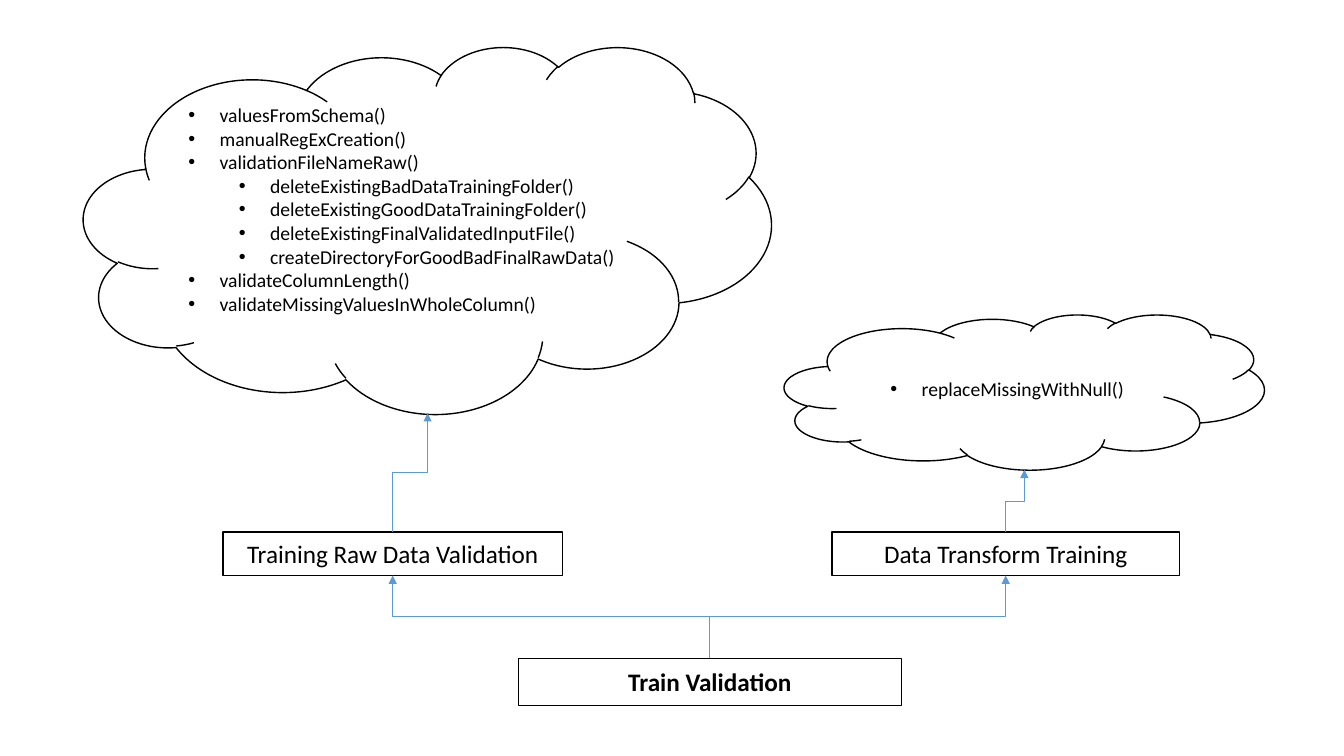
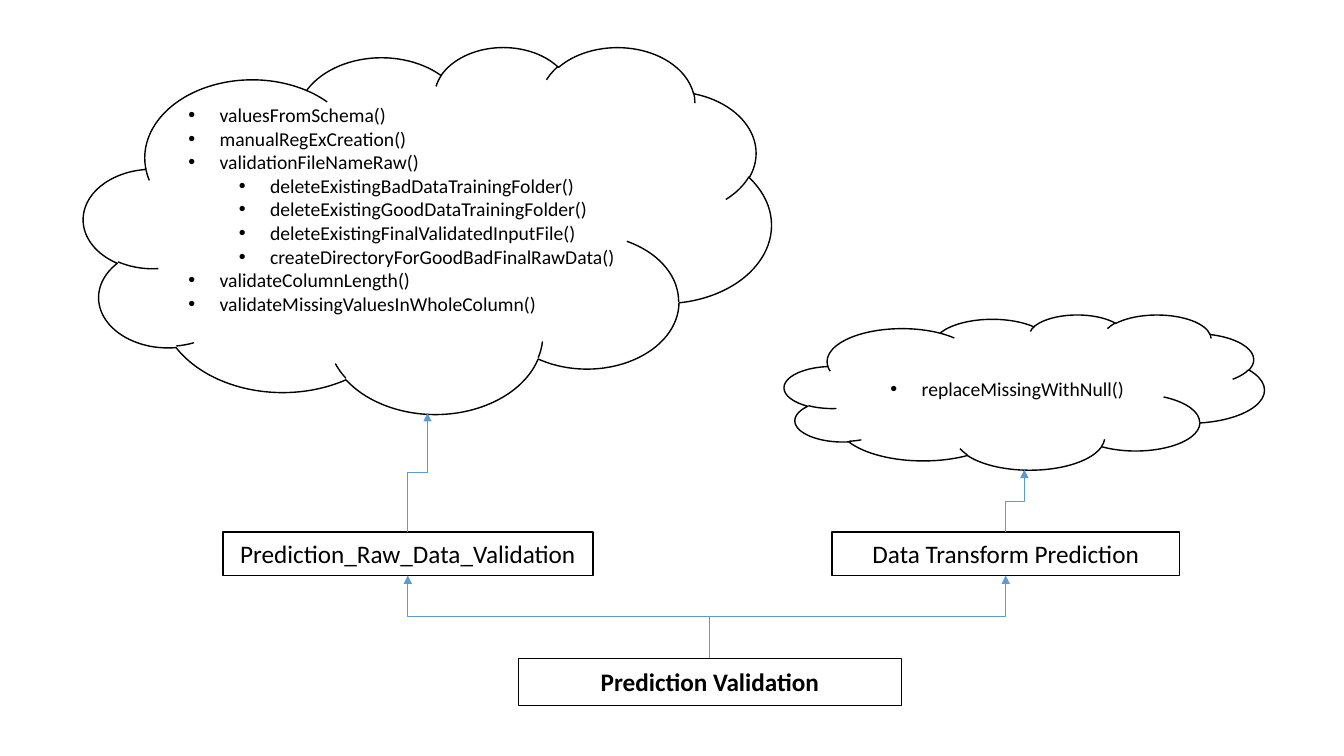
from lxml.etree import SubElement
from pptx import Presentation
from pptx.dml.color import RGBColor
from pptx.enum.shapes import MSO_CONNECTOR as Connector, MSO_SHAPE as Shape
from pptx.enum.text import MSO_ANCHOR as Anchor, PP_ALIGN as Align
from pptx.oxml.ns import qn
from pptx.util import Inches, Pt

FONT = "Calibri"
BLACK, WHITE, BLUE = "000000", "FFFFFF", "5B9BD5"
SLIDE_WIDTH, SLIDE_HEIGHT = Inches(13.33), Inches(7.5)
BULLET_INDENT = Inches(0.31)
LEVEL_STEP = Inches(0.5)

# Left, top, width and height as percentages of the slide's size
ROOT_AREA = (38.56, 87.07, 28.51, 6.27)
TRANSFORM_AREA = (61.89, 70.4, 25.88, 5.73)
VALIDATION_CLOUD_AREA = (6.23, 6.13, 51.16, 48.53)
TRANSFORM_CLOUD_AREA = (58.36, 41.6, 35.71, 20.53)

# Connection sites of the preset shapes
BOX_TOP, BOX_BOTTOM, CLOUD_BOTTOM = 0, 2, 1

# Function name and list level
VALIDATION_STEPS = [
    ("valuesFromSchema()", 0),
    ("manualRegExCreation()", 0),
    ("validationFileNameRaw()", 0),
    ("deleteExistingBadDataTrainingFolder()", 1),
    ("deleteExistingGoodDataTrainingFolder()", 1),
    ("deleteExistingFinalValidatedInputFile()", 1),
    ("createDirectoryForGoodBadFinalRawData()", 1),
    ("validateColumnLength()", 0),
    ("validateMissingValuesInWholeColumn()", 0),
]
TRANSFORM_STEPS = [("replaceMissingWithNull()", 0)]

# Root title, validation title, validation box width, transform title
FLOWS = [
    ("Train Validation", "Training Raw Data Validation", 25.28,
     "Data Transform Training"),
    ("Prediction Validation", "Prediction_Raw_Data_Validation", 27.53,
     "Data Transform Prediction"),
]


def color(hex_text):
    """Turn a hex string into a colour."""
    return RGBColor.from_string(hex_text)


def place(area):
    """Turn percentages of the slide into left, top, width and height."""
    sizes = (SLIDE_WIDTH, SLIDE_HEIGHT) * 2
    return [round(size * share / 100) for size, share in zip(sizes, area)]


def add_outline(slide, kind, area):
    """Add a white preset shape with a thin black outline."""
    shape = slide.shapes.add_shape(kind, *place(area))
    shape.shadow.inherit = False
    shape.fill.solid()
    shape.fill.fore_color.rgb = color(WHITE)
    shape.line.color.rgb = color(BLACK)
    shape.line.width = Pt(1)
    shape.text_frame.word_wrap = True
    shape.text_frame.vertical_anchor = Anchor.MIDDLE
    return shape


def write(paragraph, text, size=18, bold=False, align=Align.CENTER):
    """Write formatted text into a paragraph."""
    paragraph.alignment = align
    run = paragraph.add_run()
    run.text = text
    run.font.name = FONT
    run.font.size = Pt(size)
    run.font.bold = bold
    run.font.color.rgb = color(BLACK)


def add_bullet(paragraph, level):
    """Give a paragraph a round bullet and a hanging indent."""
    paragraph.level = level
    properties = paragraph._p.get_or_add_pPr()
    properties.set("marL", str(BULLET_INDENT + level * LEVEL_STEP))
    properties.set("indent", str(-BULLET_INDENT))
    SubElement(properties, qn("a:buFont")).set("typeface", "Arial")
    SubElement(properties, qn("a:buChar")).set("char", "•")


def add_box(slide, area, title, bold=False):
    """Add a box with a centred title."""
    box = add_outline(slide, Shape.RECTANGLE, area)
    write(box.text_frame.paragraphs[0], title, bold=bold)
    return box


def add_cloud(slide, area, steps, align=Align.LEFT, bottom=0.05):
    """Add a cloud with a bulleted list of steps."""
    cloud = add_outline(slide, Shape.CLOUD, area)
    frame = cloud.text_frame
    frame.margin_bottom = Inches(bottom)
    for index, (name, level) in enumerate(steps):
        paragraph = frame.add_paragraph() if index else frame.paragraphs[0]
        write(paragraph, name, size=14, align=align)
        add_bullet(paragraph, level)
    return cloud


def add_arrow(slide, lower, upper, upper_site):
    """Join the top of one shape to the bottom of a higher one by an elbow."""
    start_x, start_y = lower.left + lower.width // 2, lower.top
    end_x, end_y = upper.left + upper.width // 2, upper.top + upper.height
    arrow = slide.shapes.add_connector(
        Connector.ELBOW, start_x, start_y, end_x, end_y)
    arrow.begin_connect(lower, BOX_TOP)
    arrow.end_connect(upper, upper_site)

    # A quarter turn makes the elbow leave and arrive vertically
    rise, run = start_y - end_y, abs(end_x - start_x)
    arrow.left = (start_x + end_x - rise) // 2
    arrow.top = (start_y + end_y - run) // 2
    arrow.width, arrow.height = rise, run
    to_right = end_x > start_x
    properties = arrow._element.spPr
    properties.xfrm.set("rot", str((90 if to_right else 270) * 60000))
    properties.xfrm.set("flipH", "1" if to_right else "0")
    properties.xfrm.set("flipV", "1")

    arrow.line.color.rgb = color(BLUE)
    arrow.line.width = Pt(0.5)
    line = arrow.line._get_or_add_ln()
    SubElement(line, qn("a:tailEnd")).set("type", "triangle")
    SubElement(properties, qn("a:effectLst"))


def add_flow(presentation, root_title, validation_title, validation_width,
             transform_title):
    """Add a slide with one validation flow."""
    slide = presentation.slides.add_slide(presentation.slide_layouts[6])
    root = add_box(slide, ROOT_AREA, root_title, bold=True)
    validation = add_box(
        slide, (16.58, 70.4, validation_width, 5.73), validation_title)
    validation_cloud = add_cloud(
        slide, VALIDATION_CLOUD_AREA, VALIDATION_STEPS, bottom=0.29)
    transform = add_box(slide, TRANSFORM_AREA, transform_title)
    transform_cloud = add_cloud(
        slide, TRANSFORM_CLOUD_AREA, TRANSFORM_STEPS, align=Align.CENTER)

    for box in (validation, transform):
        add_arrow(slide, root, box, BOX_BOTTOM)
    add_arrow(slide, validation, validation_cloud, CLOUD_BOTTOM)
    add_arrow(slide, transform, transform_cloud, CLOUD_BOTTOM)


def main():
    """Build and save the presentation."""
    presentation = Presentation()
    presentation.slide_width = SLIDE_WIDTH
    presentation.slide_height = SLIDE_HEIGHT
    for flow in FLOWS:
        add_flow(presentation, *flow)
    presentation.save("out.pptx")


main()
